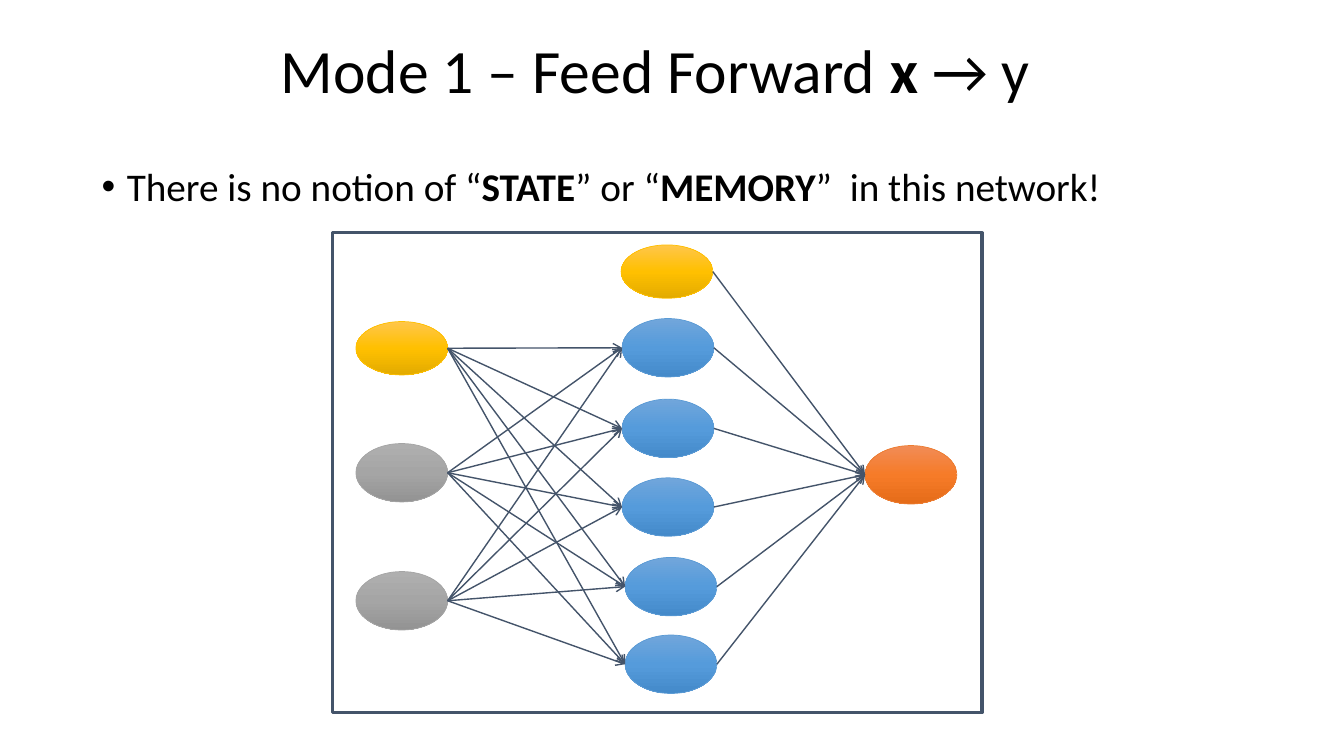
from itertools import product

from lxml.etree import SubElement
from pptx import Presentation
from pptx.dml.color import RGBColor
from pptx.enum.shapes import MSO_CONNECTOR, MSO_SHAPE
from pptx.enum.text import MSO_ANCHOR, PP_ALIGN
from pptx.oxml.ns import qn
from pptx.util import Inches, Pt

FONT = "Calibri"
SLATE = "44546A"
NODE_WIDTH = 0.91
BIAS_HEIGHT = 0.53
NEURON_HEIGHT = 0.58

GOLD = ("FFC000", ("FFC64B", "FFC000", "E3AB00"))
GRAY = ("A5A5A5", ("AFAFAF", "A5A5A5", "939393"))
BLUE = ("5B9BD5", ("71A6DB", "559BDB", "448ACA"))
ORANGE = ("ED7D31", ("F18C57", "F67B28", "E56C19"))

BIAS_INPUT = (3.53, 3.19, BIAS_HEIGHT, GOLD)
INPUTS = [(3.53, top, NEURON_HEIGHT, GRAY) for top in (4.4, 5.67)]
BIAS_HIDDEN = (6.16, 2.43, BIAS_HEIGHT, GOLD)
HIDDEN = [
    (left, top, NEURON_HEIGHT, BLUE)
    for left, top in ((6.17, 3.16), (6.17, 3.96), (6.17, 4.74), (6.2, 5.53), (6.2, 6.3))
]
OUTPUT = (8.58, 4.42, NEURON_HEIGHT, ORANGE)


def colour(value):
    return RGBColor.from_string(value)


def add_runs(paragraph, size, runs):
    paragraph.line_spacing = 0.9
    for text, bold in runs:
        run = paragraph.add_run()
        run.text = text
        run.font.name = FONT
        run.font.size = Pt(size)
        run.font.bold = bold
        run.font.color.rgb = colour("000000")


def set_title(slide, runs):
    title = slide.shapes.title
    title.left, title.top = Inches(0), Inches(0.23)
    title.width, title.height = Inches(13), Inches(1)
    title.text_frame.vertical_anchor = MSO_ANCHOR.MIDDLE
    paragraph = title.text_frame.paragraphs[0]
    paragraph.alignment = PP_ALIGN.CENTER
    add_runs(paragraph, 44, runs)


def add_bullet(slide, runs):
    box = slide.shapes.add_textbox(Inches(0.91), Inches(1.61), Inches(11.82), Inches(0.6))
    box.text_frame.word_wrap = True
    paragraph = box.text_frame.paragraphs[0]
    properties = paragraph._p.get_or_add_pPr()
    properties.set("marL", str(Inches(0.25)))
    properties.set("indent", str(Inches(-0.25)))
    SubElement(properties, qn("a:buFont"), typeface="Arial")
    SubElement(properties, qn("a:buChar"), char="•")
    add_runs(paragraph, 28, runs)


def add_frame(slide):
    frame = slide.shapes.add_shape(
        MSO_SHAPE.RECTANGLE, Inches(3.3), Inches(2.31), Inches(6.44), Inches(4.76)
    )
    frame.shadow.inherit = False
    frame.fill.background()
    frame.line.color.rgb = colour(SLATE)
    frame.line.width = Pt(2.25)


def set_gradient(shape, stops):
    shape.fill.gradient()
    shape.fill.gradient_angle = 270
    stop_list = shape._element.spPr.find(".//" + qn("a:gsLst"))
    for stop in list(stop_list):
        stop_list.remove(stop)
    for index, value in enumerate(stops):
        stop = SubElement(stop_list, qn("a:gs"), pos=str(index * 50000))
        SubElement(stop, qn("a:srgbClr"), val=value)


def add_node(slide, node):
    left, top, height, (outline, stops) = node
    ellipse = slide.shapes.add_shape(
        MSO_SHAPE.OVAL, Inches(left), Inches(top), Inches(NODE_WIDTH), Inches(height)
    )
    ellipse.shadow.inherit = False
    set_gradient(ellipse, stops)
    ellipse.line.color.rgb = colour(outline)
    ellipse.line.width = Pt(0.5)


def add_arrow(slide, source, target):
    source_left, source_top, source_height, _ = source
    target_left, target_top, target_height, _ = target
    arrow = slide.shapes.add_connector(
        MSO_CONNECTOR.STRAIGHT,
        Inches(source_left + NODE_WIDTH),
        Inches(source_top + source_height / 2),
        Inches(target_left),
        Inches(target_top + target_height / 2),
    )
    arrow.line.color.rgb = colour(SLATE)
    arrow.line.width = Pt(1)
    SubElement(arrow.line._get_or_add_ln(), qn("a:tailEnd"), type="arrow")
    SubElement(arrow._element.spPr, qn("a:effectLst"))


def add_network(slide):
    inputs = [BIAS_INPUT, *INPUTS]
    hidden = [BIAS_HIDDEN, *HIDDEN]
    for node in [*inputs, *hidden, OUTPUT]:
        add_node(slide, node)
    for source, target in [*product(inputs, HIDDEN), *product(hidden, [OUTPUT])]:
        add_arrow(slide, source, target)


def main():
    presentation = Presentation()
    presentation.slide_width = Inches(13.33)
    presentation.slide_height = Inches(7.5)
    slide = presentation.slides.add_slide(presentation.slide_layouts.get_by_name("Title Only"))
    set_title(slide, [("Mode 1 – Feed Forward ", False), ("x ", True), ("→ y", False)])
    add_bullet(
        slide,
        [
            ("There is no notion of “", False),
            ("STATE", True),
            ("” or “", False),
            ("MEMORY", True),
            ("”  in this network!", False),
        ],
    )
    add_network(slide)
    add_frame(slide)
    presentation.save("out.pptx")


if __name__ == "__main__":
    main()
